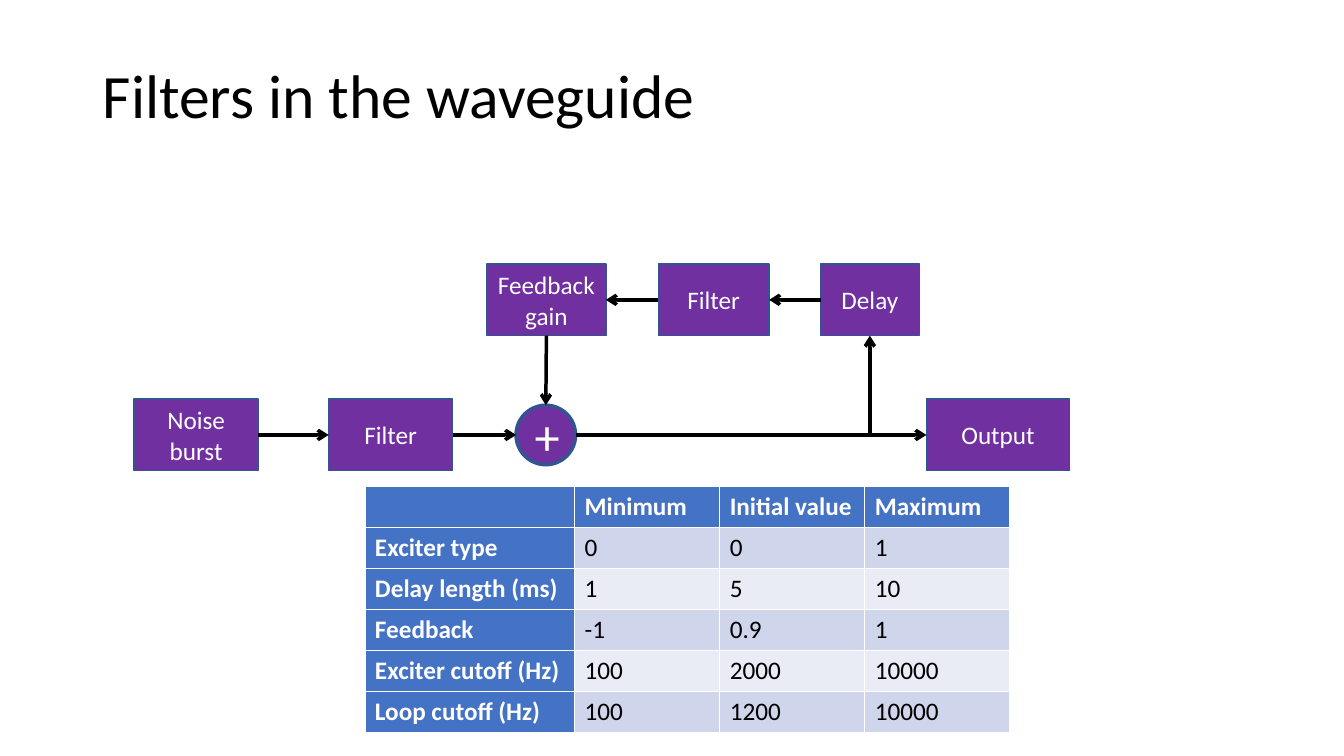
from dataclasses import dataclass

from lxml.etree import SubElement
from pptx import Presentation
from pptx.dml.color import RGBColor
from pptx.enum.shapes import MSO_CONNECTOR, MSO_SHAPE
from pptx.enum.text import MSO_ANCHOR, MSO_AUTO_SIZE, PP_ALIGN
from pptx.oxml.ns import qn
from pptx.slide import Slide
from pptx.text.text import TextFrame
from pptx.util import Inches, Pt

SLIDE_WIDTH = Inches(13.333)
SLIDE_HEIGHT = Inches(7.5)
GRID_COLUMNS = 100
GRID_ROWS = 100
FONT = "Calibri"
COLORS = {
    "text": "000000",
    "light_text": "FFFFFF",
    "block": "7030A0",
    "outline": "325491",
    "header": "4472C4",
    "odd_row": "CFD5EA",
    "even_row": "E9EBF5",
}
Point = tuple[float, float]


@dataclass(frozen=True)
class Block:
    label: str
    left: float
    top: float
    width: float
    height: float = 9.47
    preset: MSO_SHAPE = MSO_SHAPE.RECTANGLE
    font_size: float = 18
    outline_width: float = 1

    @property
    def center_x(self) -> float:
        return self.left + self.width / 2

    @property
    def center_y(self) -> float:
        return self.top + self.height / 2

    @property
    def left_side(self) -> Point:
        return self.left, self.center_y

    @property
    def right_side(self) -> Point:
        return self.left + self.width, self.center_y

    @property
    def top_side(self) -> Point:
        return self.center_x, self.top

    @property
    def bottom_side(self) -> Point:
        return self.center_x, self.top + self.height


@dataclass(frozen=True)
class Arrow:
    start: Point
    end: Point


SIGNAL_ROW = 52.8
FEEDBACK_ROW = 34.93
NOISE_BURST = Block("Noise\nburst", 9.98, SIGNAL_ROW, 9.23)
EXCITER_FILTER = Block("Filter", 24.45, SIGNAL_ROW, 9.23)
ADDER = Block("+", 38.4, 53.6, 4.43, 7.87, MSO_SHAPE.OVAL, 36, 2.5)
OUTPUT = Block("Output", 68.93, SIGNAL_ROW, 10.65)
FEEDBACK_GAIN = Block("Feedback\vgain", 36.23, FEEDBACK_ROW, 8.85)
LOOP_FILTER = Block("Filter", 48.98, FEEDBACK_ROW, 8.25)
DELAY = Block("Delay", 61.05, FEEDBACK_ROW, 7.35)
BLOCKS = [NOISE_BURST, EXCITER_FILTER, ADDER, OUTPUT, FEEDBACK_GAIN, LOOP_FILTER, DELAY]
ARROWS = [
    Arrow(NOISE_BURST.right_side, EXCITER_FILTER.left_side),
    Arrow(EXCITER_FILTER.right_side, ADDER.left_side),
    Arrow(ADDER.right_side, OUTPUT.left_side),
    Arrow((DELAY.center_x, OUTPUT.center_y), DELAY.bottom_side),
    Arrow(DELAY.left_side, LOOP_FILTER.right_side),
    Arrow(LOOP_FILTER.left_side, FEEDBACK_GAIN.right_side),
    Arrow(FEEDBACK_GAIN.bottom_side, ADDER.top_side),
]

TABLE_LEFT, TABLE_TOP = 27.15, 64.4
COLUMN_WIDTHS = [15.6, 10.8, 10.8, 10.8]
ROW_HEIGHT = 5.4
PARAMETERS = [
    ["", "Minimum", "Initial value", "Maximum"],
    ["Exciter type", "0", "0", "1"],
    ["Delay length (ms)", "1", "5", "10"],
    ["Feedback", "-1", "0.9", "1"],
    ["Exciter cutoff (Hz)", "100", "2000", "10000"],
    ["Loop cutoff (Hz)", "100", "1200", "10000"],
]


def across(columns: float) -> int:
    return round(SLIDE_WIDTH * columns / GRID_COLUMNS)


def down(rows: float) -> int:
    return round(SLIDE_HEIGHT * rows / GRID_ROWS)


def color(name: str) -> RGBColor:
    return RGBColor.from_string(COLORS[name])


def write_text(text_frame: TextFrame, text: str, size: float, color_name: str,
               alignment: PP_ALIGN = PP_ALIGN.LEFT, bold: bool = False) -> None:
    text_frame.text = text
    for paragraph in text_frame.paragraphs:
        paragraph.alignment = alignment
        for run in paragraph.runs:
            run.font.name = FONT
            run.font.size = Pt(size)
            run.font.bold = bold
            run.font.color.rgb = color(color_name)


def add_title(slide: Slide, text: str) -> None:
    title = slide.shapes.title
    title.left, title.top = across(6.9), down(5.33)
    title.width, title.height = across(86.25), down(15.47)
    title.text_frame.auto_size = MSO_AUTO_SIZE.NONE
    title.text_frame.vertical_anchor = MSO_ANCHOR.MIDDLE
    write_text(title.text_frame, text, 44, "text")
    title.text_frame.paragraphs[0].line_spacing = 0.9


def add_block(slide: Slide, block: Block) -> None:
    shape = slide.shapes.add_shape(block.preset, across(block.left), down(block.top),
                                   across(block.width), down(block.height))
    shape.shadow.inherit = False
    shape.fill.solid()
    shape.fill.fore_color.rgb = color("block")
    shape.line.color.rgb = color("outline")
    shape.line.width = Pt(block.outline_width)
    shape.text_frame.vertical_anchor = MSO_ANCHOR.MIDDLE
    write_text(shape.text_frame, block.label, block.font_size, "light_text", PP_ALIGN.CENTER)


def add_arrow(slide: Slide, arrow: Arrow) -> None:
    connector = slide.shapes.add_connector(
        MSO_CONNECTOR.STRAIGHT, across(arrow.start[0]), down(arrow.start[1]),
        across(arrow.end[0]), down(arrow.end[1]))
    connector.line.color.rgb = color("text")
    connector.line.width = Pt(2.5)
    SubElement(connector.line._get_or_add_ln(), qn("a:tailEnd"), type="arrow")
    SubElement(connector._element.spPr, qn("a:effectLst"))


def add_parameter_table(slide: Slide) -> None:
    table = slide.shapes.add_table(
        len(PARAMETERS), len(COLUMN_WIDTHS), across(TABLE_LEFT), down(TABLE_TOP),
        across(sum(COLUMN_WIDTHS)), down(ROW_HEIGHT * len(PARAMETERS))).table
    table.first_col = True
    for column, width in zip(table.columns, COLUMN_WIDTHS):
        column.width = across(width)
    for row_index, values in enumerate(PARAMETERS):
        table.rows[row_index].height = down(ROW_HEIGHT)
        band = "odd_row" if row_index % 2 else "even_row"
        for column_index, value in enumerate(values):
            is_header = row_index == 0 or column_index == 0
            cell = table.cell(row_index, column_index)
            cell.fill.solid()
            cell.fill.fore_color.rgb = color("header" if is_header else band)
            write_text(cell.text_frame, value, 18,
                       "light_text" if is_header else "text", bold=is_header)


def main() -> None:
    presentation = Presentation()
    presentation.slide_width = SLIDE_WIDTH
    presentation.slide_height = SLIDE_HEIGHT
    slide = presentation.slides.add_slide(presentation.slide_layouts.get_by_name("Title Only"))
    add_title(slide, "Filters in the waveguide")
    add_parameter_table(slide)
    for block in BLOCKS:
        add_block(slide, block)
    for arrow in ARROWS:
        add_arrow(slide, arrow)
    presentation.save("out.pptx")


if __name__ == "__main__":
    main()
